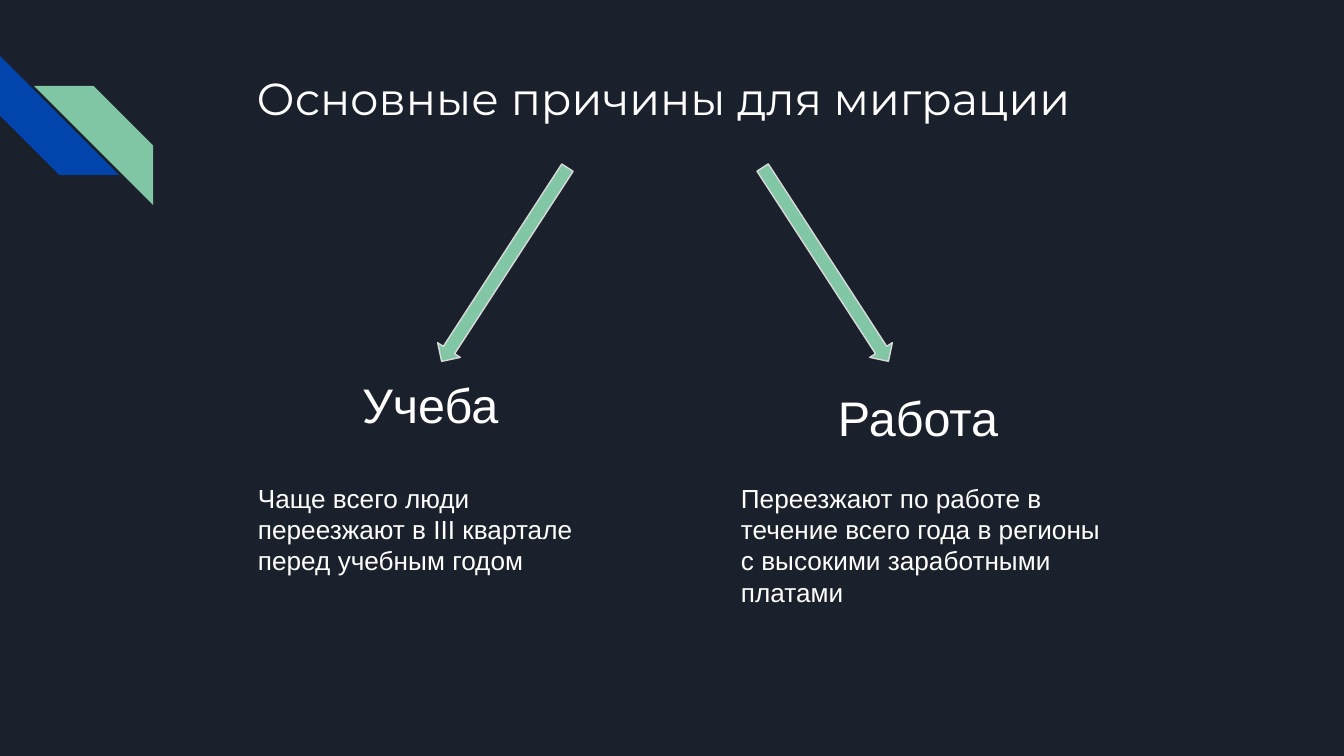
from dataclasses import dataclass

from pptx import Presentation
from pptx.dml.color import RGBColor
from pptx.enum.shapes import MSO_SHAPE
from pptx.enum.text import MSO_ANCHOR, MSO_AUTO_SIZE, PP_ALIGN
from pptx.util import Pt

STRIPE = MSO_SHAPE.DIAGONAL_STRIPE
ARROW = MSO_SHAPE.RIGHT_ARROW
TOP = MSO_ANCHOR.TOP
NO_FIT = MSO_AUTO_SIZE.NONE
LEFT, CENTER = PP_ALIGN.LEFT, PP_ALIGN.CENTER

EMU_PER_PX = 914400 / 134.4
WIDTH, HEIGHT = 1344, 756
TITLE_ONLY = 5


def px(n):
    return round(n * EMU_PER_PX)


@dataclass(frozen=True)
class Theme:
    background: str = "1B212C"
    text: str = "FFFFFF"
    blue: str = "0145AC"
    green: str = "82C7A5"
    outline: str = "D9D9D9"
    title_font: str = "Montserrat"
    body_font: str = "Arial"
    title_size: int = 24
    heading_size: int = 26
    body_size: int = 14
    inset: int = 13


class SlideBuilder:
    def __init__(self, slide, theme):
        self.slide = slide
        self.theme = theme
        fill = slide.background.fill
        fill.solid()
        fill.fore_color.rgb = RGBColor.from_string(theme.background)

    def shape(self, kind, box, color, rotation, adjustments, outline=None):
        sp = self.slide.shapes.add_shape(kind, *map(px, box))
        sp.shadow.inherit = False
        sp.rotation = rotation
        for i, value in enumerate(adjustments):
            sp.adjustments[i] = value
        sp.fill.solid()
        sp.fill.fore_color.rgb = RGBColor.from_string(color)
        if outline:
            sp.line.color.rgb = RGBColor.from_string(outline)
            sp.line.width = Pt(0.75)
        else:
            sp.line.fill.background()

    def stripe(self, box, color, rotation):
        self.shape(STRIPE, box, color, rotation, [0.5])

    def arrow(self, box, rotation):
        self.shape(ARROW, box, self.theme.green, rotation, [0.5, 0.5],
                   self.theme.outline)

    def add_paragraph(self, sp, text, font, size, align=LEFT):
        """Put one styled paragraph in a shape and return it."""
        tf = sp.text_frame
        tf.word_wrap = True
        tf.auto_size = NO_FIT
        tf.vertical_anchor = TOP
        inset = px(self.theme.inset)
        tf.margin_left = tf.margin_right = inset
        tf.margin_top = tf.margin_bottom = inset
        p = tf.paragraphs[0]
        p.alignment = align
        r = p.add_run()
        r.text = text
        r.font.name = font
        r.font.size = Pt(size)
        r.font.color.rgb = RGBColor.from_string(self.theme.text)
        return p

    def title(self, box, text):
        sp = self.slide.shapes.title
        sp.left, sp.top, sp.width, sp.height = map(px, box)
        p = self.add_paragraph(sp, text, self.theme.title_font,
                               self.theme.title_size, CENTER)
        p.line_spacing = 1.0

    def text(self, box, text, size):
        sp = self.slide.shapes.add_textbox(*map(px, box))
        return self.add_paragraph(sp, text, self.theme.body_font, size)

    def heading(self, box, text, line_spacing):
        p = self.text(box, text, self.theme.heading_size)
        p.line_spacing = line_spacing
        p.space_after = Pt(12)

    def body(self, box, text):
        self.text(box, text, self.theme.body_size)


def main():
    prs = Presentation()
    prs.slide_width, prs.slide_height = px(WIDTH), px(HEIGHT)
    theme = Theme()
    slide = prs.slides.add_slide(prs.slide_layouts[TITLE_ONLY])
    s = SlideBuilder(slide, theme)

    s.stripe((0, 56, 119, 119), theme.blue, 270)
    s.stripe((34, 86, 119, 119), theme.green, 90)
    s.title((146, 58, 1035, 134), "Основные причины для миграции")

    s.arrow((389, 251, 231, 27), 123)
    s.arrow((710, 251, 231, 27), 57)

    s.heading((349, 366, 164, 83), "Учеба", 0.95)
    s.heading((825, 366, 200, 93), "Работа", 1.15)

    s.body((245, 469, 392, 122),
           "Чаще всего люди переезжают в III квартале перед учебным годом")
    s.body((728, 469, 392, 153),
           "Переезжают по работе в течение всего года в регионы "
           "с высокими заработными платами")

    prs.save("out.pptx")


if __name__ == "__main__":
    main()
